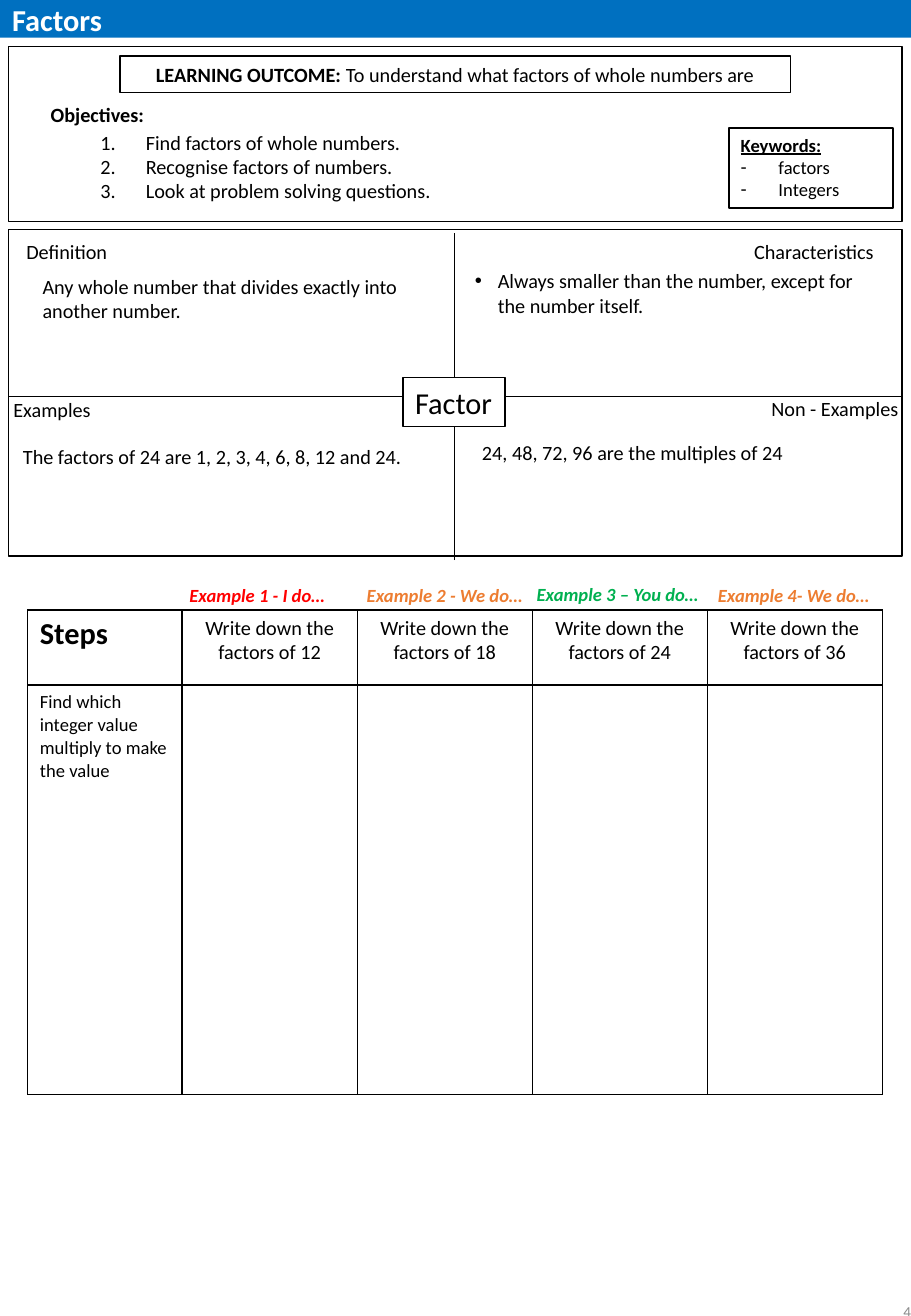
from dataclasses import dataclass

from lxml import etree
from pptx import Presentation
from pptx import util as u
from pptx.dml.color import RGBColor
from pptx.enum import shapes, text
from pptx.oxml import ns


@dataclass(frozen=True)
class Theme:
    font: str = "Calibri"
    black: str = "000000"
    white: str = "FFFFFF"
    blue: str = "0070C0"
    red: str = "FF0000"
    orange: str = "ED7D31"
    green: str = "00B050"
    grey: str = "8C8C8C"
    heading: int = 18
    body: int = 12
    small: int = 11
    tiny: int = 9


theme = Theme()
align = text.PP_ALIGN


def write(frame, content, size=theme.body, color=theme.black, bold=False, italic=False,
          underline=False, alignment=align.LEFT, lead="", bullet=None, indent=0):
    for line in content.split("\n"):
        paragraph = frame.paragraphs[0]
        if paragraph.runs:
            paragraph = frame.add_paragraph()
        paragraph.alignment = alignment
        if bullet:
            properties = paragraph._p.get_or_add_pPr()
            properties.set("marL", str(u.Cm(indent)))
            properties.set("indent", str(-u.Cm(indent)))
            if bullet == "1.":
                etree.SubElement(properties, ns.qn("a:buAutoNum"), type="arabicPeriod")
            else:
                etree.SubElement(properties, ns.qn("a:buFont"), typeface="Arial")
                etree.SubElement(properties, ns.qn("a:buChar"), char=bullet)
        for words, weight in ((lead, True), (line, bold)):
            if words:
                run = paragraph.add_run()
                run.text = words
                font = run.font
                font.name, font.size = theme.font, u.Pt(size)
                font.bold, font.italic, font.underline = weight, italic, underline
                font.color.rgb = RGBColor.from_string(color)


def add_box(left, top, width, height, line=None, fill=None, wrap=True):
    place = [u.Cm(length) for length in (left, top, width, height)]
    if line:
        shape = slide.shapes.add_shape(shapes.MSO_SHAPE.RECTANGLE, *place)
        shape.shadow.inherit = False
        shape.line.color.rgb = RGBColor.from_string(theme.black)
        shape.line.width = u.Pt(line)
        if fill:
            shape.fill.solid()
            shape.fill.fore_color.rgb = RGBColor.from_string(fill)
        else:
            shape.fill.background()
    else:
        shape = slide.shapes.add_textbox(*place)
    shape.text_frame.word_wrap = wrap
    shape.text_frame.vertical_anchor = text.MSO_ANCHOR.TOP
    return shape.text_frame


presentation = Presentation()
presentation.slide_width, presentation.slide_height = u.Cm(19.05), u.Cm(27.51)
slide = presentation.slides.add_slide(presentation.slide_layouts[5])

title = slide.shapes.title
title.left, title.top, title.width, title.height = 0, 0, u.Cm(19.05), u.Cm(0.79)
title.fill.solid()
title.fill.fore_color.rgb = RGBColor.from_string(theme.blue)
title.text_frame.vertical_anchor = text.MSO_ANCHOR.MIDDLE
write(title.text_frame, "Factors", size=theme.heading, color=theme.white, bold=True)

page_number = add_box(15.01, 26.67, 4.29, 1.47)
page_number.vertical_anchor = text.MSO_ANCHOR.MIDDLE
write(page_number, "4", size=theme.tiny, color=theme.grey, alignment=align.RIGHT)

add_box(0.18, 0.97, 18.69, 3.66, line=1)
write(add_box(0.81, 2.01, 3.2, 0.76), "Objectives:", bold=True)
write(add_box(1.85, 2.59, 14.05, 1.8),
      "Find factors of whole numbers.\nRecognise factors of numbers.\n"
      "Look at problem solving questions.", bullet="1.", indent=0.95)
write(add_box(2.51, 1.17, 14.02, 0.76, line=0.75),
      " To understand what factors of whole numbers are",
      lead="LEARNING OUTCOME:", alignment=align.CENTER)
keywords = add_box(15.24, 2.67, 3.43, 1.68, line=1)
write(keywords, "Keywords:", size=theme.small, bold=True, underline=True)
write(keywords, "factors\nIntegers", size=theme.small, bullet="-", indent=0.79)

column_widths = [3.23] + [3.66] * 4
row_heights = [1.57, 8.56]
table = slide.shapes.add_table(2, 5, u.Cm(0.58), u.Cm(12.75),
                               u.Cm(sum(column_widths)), u.Cm(sum(row_heights))).table
table.first_row = table.horz_banding = False
for column, width in zip(table.columns, column_widths):
    column.width = u.Cm(width)
for row, height in zip(table.rows, row_heights):
    row.height = u.Cm(height)
for cell in table.iter_cells():
    properties = cell._tc.get_or_add_tcPr()
    for side in ("a:lnL", "a:lnR", "a:lnT", "a:lnB"):
        border = etree.SubElement(properties, ns.qn(side), w=str(u.Pt(1)))
        solid = etree.SubElement(border, ns.qn("a:solidFill"))
        etree.SubElement(solid, ns.qn("a:srgbClr"), val=theme.black)
    cell.fill.background()
write(table.cell(0, 0).text_frame, "Steps", size=theme.heading, bold=True)
write(table.cell(1, 0).text_frame, "Find which integer value multiply to make the value",
      size=theme.small)
for column, number in enumerate((12, 18, 24, 36), start=1):
    write(table.cell(0, column).text_frame, f"Write down the factors of {number}",
          alignment=align.CENTER)

for left, top, width, label, color in (
    (3.71, 12.09, 3.38, "Example 1 - I do…", theme.red),
    (7.42, 12.09, 3.81, "Example 2 - We do…", theme.orange),
    (10.97, 12.07, 3.96, "Example 3 – You do…", theme.green),
    (14.76, 12.09, 3.81, "Example 4- We do…", theme.orange),
):
    write(add_box(left, top, width, 0.74, wrap=False), label,
          size=theme.small, color=color, bold=True, italic=True)

add_box(0.18, 4.8, 18.69, 6.83, line=1, fill=theme.white)
for ends in ((0.18, 8.28, 18.85, 8.28), (9.5, 11.71, 9.5, 4.88)):
    divider = slide.shapes.add_connector(shapes.MSO_CONNECTOR.STRAIGHT,
                                         *[u.Cm(length) for length in ends])
    divider.line.color.rgb = RGBColor.from_string(theme.black)
    divider.line.width = u.Pt(0.5)
    etree.SubElement(divider._element.spPr, ns.qn("a:effectLst"))

for left, top, width, heading in (
    (0.3, 4.88, 2.24, "Definition"),
    (15.52, 4.88, 3.05, "Characteristics"),
    (0.03, 8.18, 2.16, "Examples"),
    (15.88, 8.15, 3.2, "Non - Examples"),
):
    write(add_box(left, top, width, 0.76, wrap=False), heading)
write(add_box(8.43, 7.9, 2.13, 1.02, line=0.75, fill=theme.white, wrap=False),
      "Factor", size=theme.heading)

write(add_box(0.23, 9.17, 9.42, 0.76), "The factors of 24 are 1, 2, 3, 4, 6, 8, 12 and 24.")
write(add_box(9.83, 9.07, 8.61, 0.76), "24, 48, 72, 96 are the multiples of 24")
write(add_box(0.64, 5.61, 8.48, 1.27),
      "Any whole number that divides exactly into another number.")
write(add_box(9.68, 5.49, 8.99, 1.27),
      "Always smaller than the number, except for the number itself.",
      bullet="•", indent=0.48)

presentation.save("out.pptx")
